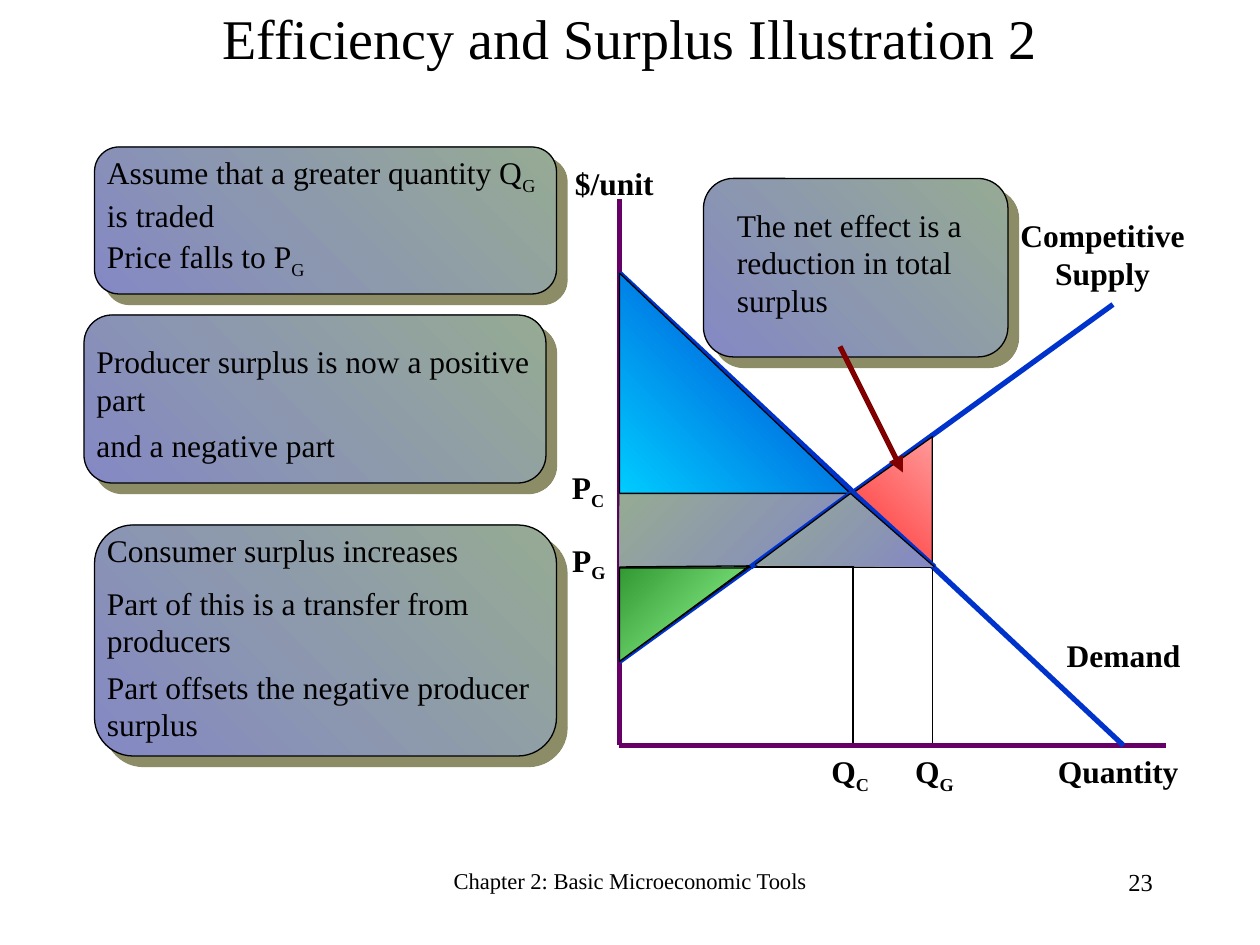
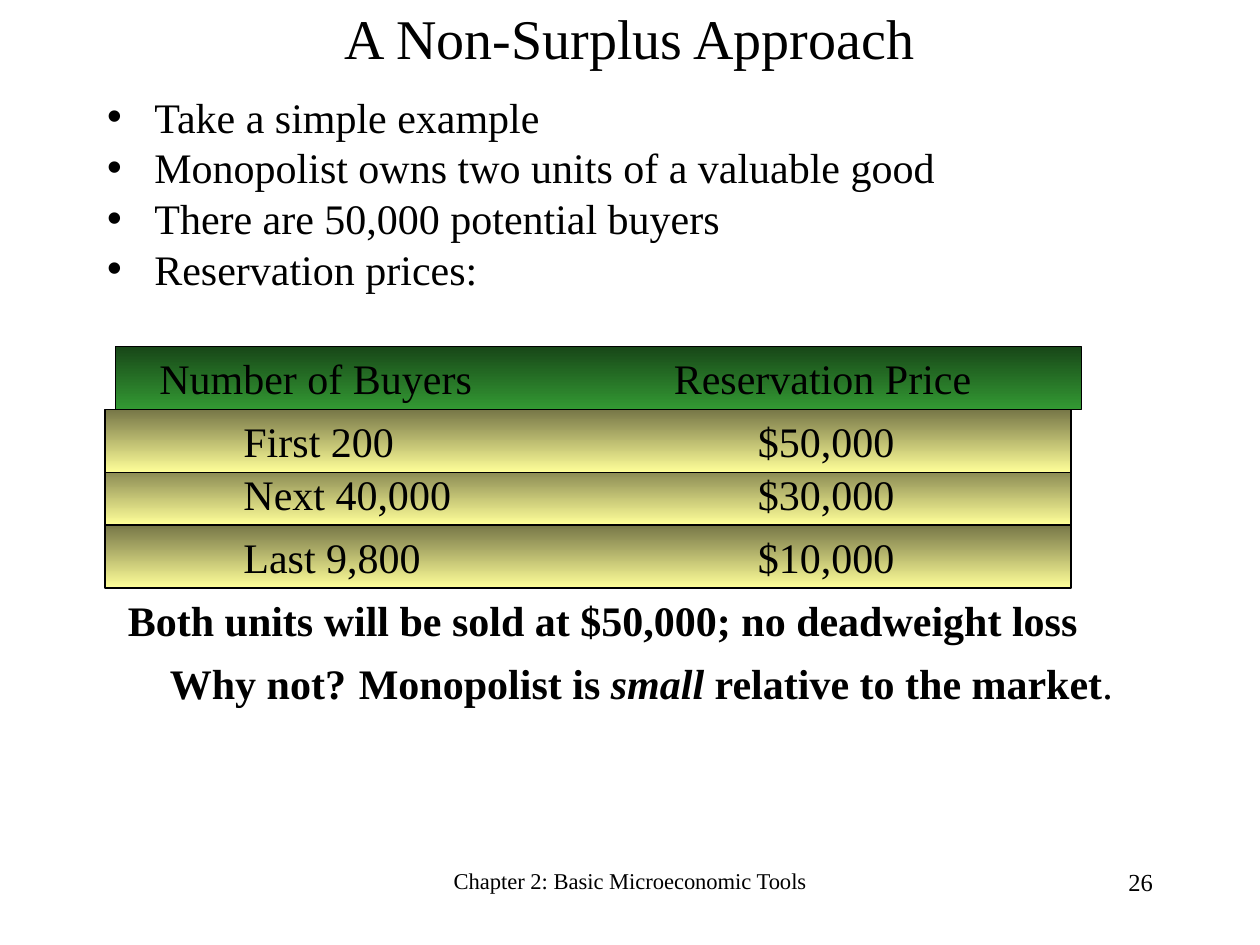
from lxml.etree import SubElement
from pptx import Presentation
from pptx.dml.color import RGBColor
from pptx.enum.shapes import MSO_CONNECTOR as Connector, MSO_SHAPE as Shape
from pptx.enum.text import MSO_ANCHOR as Anchor, MSO_AUTO_SIZE as AutoSize, PP_ALIGN as Align
from pptx.oxml.ns import qn
from pptx.util import Inches, Pt

COLUMNS, ROWS = 120, 90
FONT = "Times New Roman"
SUBSCRIPTS = ("C", "G")
COLORS = {
    "text": "000000", "axis": "660066", "curve": "0033CC", "arrow": "800000",
    "lilac": "8488C4", "sage": "96AB94", "shadow": "666633", "cyan": "00CCFF",
    "green": "339933", "light green": "99FF99", "dark green": "184718",
    "pink": "FF9999", "red": "FF0000", "olive": "767647", "yellow": "FFFF99",
}


class Deck:
    """Hold the shared style and the slide being drawn."""

    def __init__(self):
        self.presentation = Presentation()
        self.presentation.slide_width = Inches(10)
        self.presentation.slide_height = Inches(7.5)
        self.slide = None

    def color(self, name):
        return RGBColor.from_string(COLORS[name])

    def x(self, columns):
        return round(self.presentation.slide_width * columns / COLUMNS)

    def y(self, rows):
        return round(self.presentation.slide_height * rows / ROWS)

    def area(self, left, top, width, height):
        return self.x(left), self.y(top), self.x(width), self.y(height)

    def place(self, shape, area):
        shape.left, shape.top, shape.width, shape.height = self.area(*area)

    def new_slide(self, layout, title, number):
        layouts = self.presentation.slide_layouts
        self.slide = self.presentation.slides.add_slide(layouts.get_by_name(layout))
        heading = self.slide.shapes.title
        self.place(heading, (9, 0, 102, 7))
        self.fill_text(heading, title, size=32, align=Align.CENTER, anchor=Anchor.MIDDLE)
        self.text((41, 82, 38, 6), "Chapter 2: Basic Microeconomic Tools",
                  size=12.9, align=Align.CENTER)
        self.text((86, 82, 25, 6), number, size=14, align=Align.RIGHT)

    def style(self, run, size, bold=False):
        run.font.name, run.font.size, run.font.bold = FONT, Pt(size), bold
        run.font.color.rgb = self.color("text")

    def fill_text(self, shape, text, size=18, bold=False, align=Align.LEFT, anchor=Anchor.TOP):
        frame = shape.text_frame
        frame.word_wrap, frame.auto_size = True, AutoSize.NONE
        frame.vertical_anchor = anchor
        paragraph = frame.paragraphs[0]
        paragraph.alignment = align
        for piece in text.split("|"):
            run = paragraph.add_run()
            run.text = piece
            self.style(run, size, bold)
            if piece in SUBSCRIPTS:
                run.font._element.set("baseline", "-25000")
        return paragraph

    def text(self, area, text, **style):
        return self.fill_text(self.slide.shapes.add_textbox(*self.area(*area)), text, **style)

    def label(self, area, text, align=Align.CENTER):
        self.text(area, text, bold=True, align=align)

    def bullets(self, area, items, size):
        body = self.slide.placeholders[1]
        self.place(body, area)
        frame = body.text_frame
        frame.text = "\n".join(items)
        frame.auto_size = AutoSize.NONE
        for index, paragraph in enumerate(frame.paragraphs):
            paragraph.line_spacing = 0.8
            paragraph.space_before = Pt(6 if index else 0)
            self.style(paragraph.runs[0], size)

    def paint(self, shape, colors, angle):
        shape.shadow.inherit = False
        shape.fill.gradient()
        shape.fill.gradient_angle = angle
        for stop, name in zip(shape.fill.gradient_stops, colors):
            stop.color.rgb = self.color(name)
        shape.line.color.rgb = self.color("text")
        shape.line.width = Pt(0.75)

    def shape(self, kind, area, colors, angle, flip=None):
        shape = self.slide.shapes.add_shape(kind, *self.area(*area))
        self.paint(shape, colors, angle)
        if flip:
            shape._element.spPr.xfrm.set(flip, "1")
        return shape

    def callout(self, area):
        shape = self.shape(Shape.ROUNDED_RECTANGLE, area, ("lilac", "sage"), 45)
        shape.adjustments[0] = 0.167
        effects = shape._element.spPr.find(qn("a:effectLst"))
        shadow = SubElement(effects, qn("a:outerShdw"), dist=str(Pt(8.5)),
                            dir="2700000", algn="ctr", rotWithShape="0")
        color = SubElement(shadow, qn("a:srgbClr"), val=COLORS["shadow"])
        SubElement(color, qn("a:alpha"), val="75000")

    def polygon(self, points, colors, angle):
        corners = [(self.x(column), self.y(row)) for column, row in points]
        builder = self.slide.shapes.build_freeform(*corners[0], scale=1.0)
        builder.add_line_segments(corners[1:], close=False)
        self.paint(builder.convert_to_shape(), colors, angle)

    def line(self, start, end, color="text", width=1, arrow=False):
        line = self.slide.shapes.add_connector(
            Connector.STRAIGHT, self.x(start[0]), self.y(start[1]), self.x(end[0]), self.y(end[1]))
        line.line.color.rgb = self.color(color)
        line.line.width = Pt(width)
        properties = line._element.spPr
        if arrow:
            SubElement(properties.find(qn("a:ln")), qn("a:tailEnd"), type="triangle")
        SubElement(properties, qn("a:effectLst"))

    def table_row(self, area, cells, tabs, colors):
        shape = self.shape(Shape.RECTANGLE, area, colors, 270)
        paragraph = self.fill_text(shape, "".join("\t" + cell for cell in cells), size=24)
        stops = SubElement(paragraph._p.get_or_add_pPr(), qn("a:tabLst"))
        for tab in tabs:
            SubElement(stops, qn("a:tab"), pos=str(self.x(tab)), algn="l")


def draw_surplus(deck):
    """Draw the supply and demand diagram with its notes."""
    deck.new_slide("Title Only", "Efficiency and Surplus Illustration 2", "23")
    origin = (59, 71)
    deck.line((59, 19), origin, "axis", 3)
    deck.line(origin, (111, 71), "axis", 3)
    deck.line((59, 26), (107, 71), "curve", 3)
    deck.line((59, 63), (106, 29), "curve", 3)
    deck.line((81, 47), (59, 47))
    deck.line((81.25, 46.8), (81.25, 70.8))

    deck.shape(Shape.RIGHT_TRIANGLE, (59, 26, 22, 21), ("cyan", "curve"), 45)
    deck.shape(Shape.RIGHT_TRIANGLE, (59, 47, 22, 16), ("text", "green"), 45, "flipV")
    deck.line((59, 54), (89, 54))
    deck.line((88.8, 41.8), (88.8, 70.8))
    deck.shape(Shape.RIGHT_TRIANGLE, (59, 54.1, 12.1, 8.9), ("green", "light green"), 45, "flipV")
    deck.shape(Shape.RIGHT_TRIANGLE, (71.6, 41.6, 17.2, 12.2), ("pink", "red"), 315, "flipH")
    deck.polygon([(59, 47), (81, 47), (71.5, 53.9), (59, 54)], ("sage", "lilac"), 315)
    deck.line((71.5, 54), (81, 47), "curve", 3)
    deck.line((81, 46.7), (89, 54), "curve", 3)
    deck.polygon([(71.9, 53.8), (81, 47), (89, 54)], ("sage", "lilac"), 315)

    deck.label((99, 71, 15, 4.8), "Quantity")
    deck.label((100, 60, 14, 4.8), "Demand")
    deck.label((94, 20, 22, 8.4), "Competitive Supply")
    deck.label((51, 15, 15, 4.8), "$/unit")
    deck.label((52, 44, 8, 5.3), "P|C")
    deck.label((53.3, 50.9, 6, 5.3), "P|G", Align.LEFT)
    deck.label((78, 71, 7, 5.3), "Q|C", Align.LEFT)
    deck.label((85, 71, 8, 5.3), "Q|G")

    callouts = [
        ((9, 14, 44, 14), [(14, 8.9, "Assume that a greater quantity Q|G| is traded"),
                           (22, 5.3, "Price falls to P|G")]),
        ((8, 30, 44, 16), [(32, 8.4, "Producer surplus is now a positive part"),
                           (40, 4.8, "and a negative part")]),
        ((9, 50, 44, 22), [(50, 4.8, "Consumer surplus increases"),
                           (55, 8.4, "Part of this is a transfer from producers"),
                           (63, 8.4, "Part offsets the negative producer surplus")]),
    ]
    for area, notes in callouts:
        deck.callout(area)
        for top, height, note in notes:
            deck.text((area[0], top, area[2], height), note)
    deck.callout((67, 17, 29, 17))
    deck.text((69, 19, 24, 12), "The net effect is a reduction in total surplus")
    deck.line((80, 33), (86, 45), "arrow", 3, arrow=True)


def draw_non_surplus(deck):
    """Draw the reservation price example."""
    deck.new_slide("Title and Content", "A Non-Surplus Approach", "26")
    deck.bullets((9, 9, 105, 21), [
        "Take a simple example",
        "Monopolist owns two units of a valuable good",
        "There are 50,000 potential buyers",
        "Reservation prices:",
    ], size=24)

    buyers = [(50, "Last 9,800", "$10,000"), (44, "Next 40,000", "$30,000"),
              (39, "First 200", "$50,000")]
    for top, group, price in buyers:
        deck.table_row((10, top, 92, 6), (group, price), (12, 61), ("olive", "yellow"))
    deck.table_row((11, 33, 92, 6), ("Number of Buyers", "Reservation Price"),
                   (3, 52), ("dark green", "green"))

    deck.text((11, 56, 95, 6), "Both units will be sold at $50,000; no deadweight loss",
              size=24, bold=True)
    deck.text((15, 62, 22, 6), "Why not?", size=24, bold=True)
    answer = deck.text((33, 62, 78, 6), "Monopolist is |small| relative to the market|.",
                       size=24, bold=True)
    answer.runs[1].font.italic = True
    answer.runs[-1].font.bold = False


def main():
    """Build both slides and save them."""
    deck = Deck()
    draw_surplus(deck)
    draw_non_surplus(deck)
    deck.presentation.save("out.pptx")


if __name__ == "__main__":
    main()
